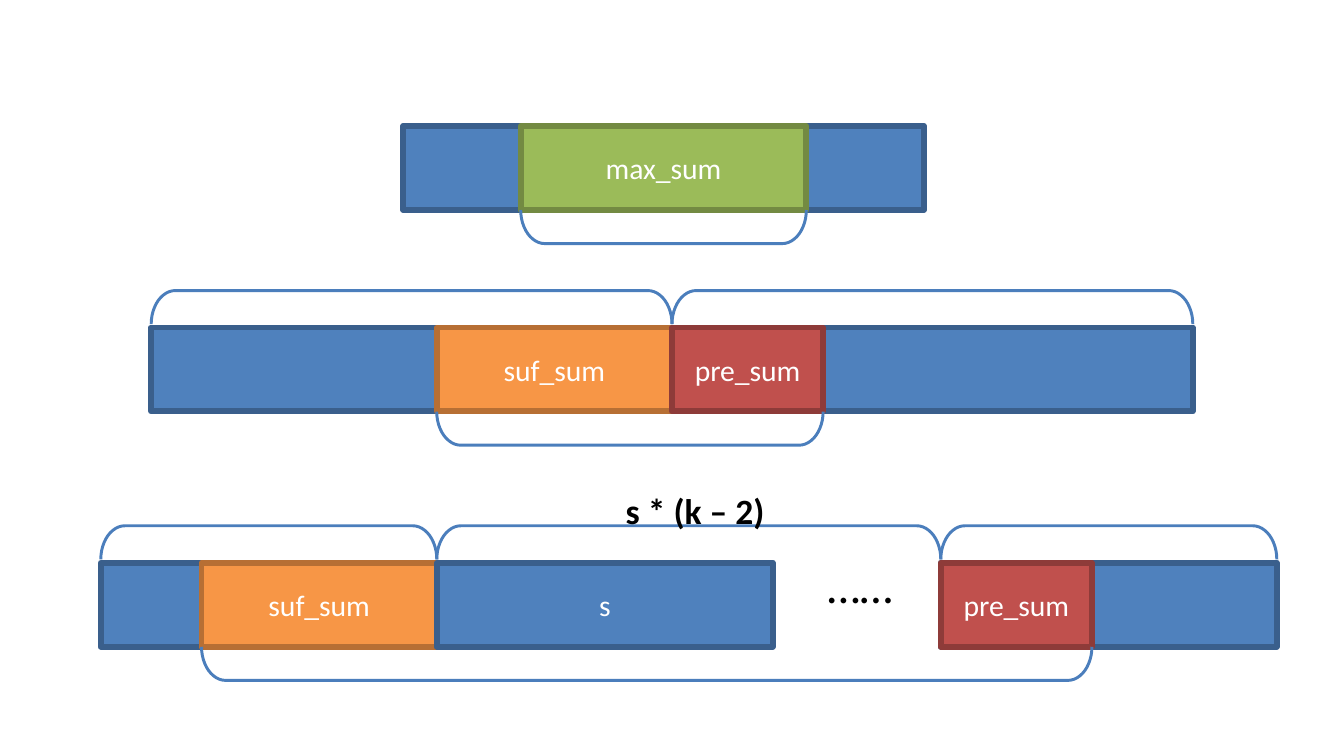
from dataclasses import dataclass
from enum import Enum
from typing import Optional

from pptx import Presentation
from pptx.dml.color import RGBColor
from pptx.enum.shapes import MSO_SHAPE
from pptx.enum.text import MSO_ANCHOR, PP_ALIGN
from pptx.util import Cm, Pt


@dataclass(frozen=True)
class Tone:
    fill: str
    line: str


@dataclass(frozen=True)
class Theme:
    font: str = "Calibri"
    bar_text: str = "FFFFFF"
    text: str = "000000"
    bracket: str = "4B7EBC"
    bar_size: float = 10
    formula_size: float = 12
    dots_size: float = 16
    bar_line: float = 2
    bracket_line: float = 1
    array: Tone = Tone("4F81BD", "3A5F8C")
    suffix: Tone = Tone("F79646", "B76F34")
    prefix: Tone = Tone("C0504D", "8E3B39")
    best: Tone = Tone("9BBB59", "738A42")


class Side(Enum):
    ABOVE = 90
    BELOW = 270


@dataclass(frozen=True)
class Bar:
    row: float
    start: float
    span: float
    tone: Tone
    label: str = ""


@dataclass(frozen=True)
class Bracket:
    row: float
    start: float
    span: float
    side: Side


@dataclass(frozen=True)
class Note:
    row: float
    start: float
    span: float
    rows: float
    text: str
    size: float
    bold: Optional[bool] = None


WIDTH, HEIGHT = Cm(16), Cm(9)
COLUMN, ROW = WIDTH / 80, HEIGHT / 45
BAR_ROWS, BRACKET_ROWS, BRACKET_GAP = 5, 2, 0.2
BRACKET_CURVE = 0.72
ONE, TWO, MANY = 7.5, 19.5, 33.5
ARRAY, HALF, SUFFIX, PREFIX, BEST = 20, 31, 14, 9, 17
THEME = Theme()

BARS = [
    Bar(MANY, 56, ARRAY, THEME.array),
    Bar(ONE, 24, HALF, THEME.array),
    Bar(TWO, 9, HALF, THEME.array),
    Bar(TWO, 40, HALF, THEME.array),
    Bar(TWO, 26, SUFFIX, THEME.suffix, "suf_sum"),
    Bar(TWO, 40, PREFIX, THEME.prefix, "pre_sum"),
    Bar(ONE, 31, BEST, THEME.best, "max_sum"),
    Bar(MANY, 6, ARRAY, THEME.array),
    Bar(MANY, 12, SUFFIX, THEME.suffix, "suf_sum"),
    Bar(MANY, 56, PREFIX, THEME.prefix, "pre_sum"),
    Bar(MANY, 26, ARRAY, THEME.array, "s"),
]
BRACKETS = [
    Bracket(TWO, 9, HALF, Side.ABOVE),
    Bracket(TWO, 40, HALF, Side.ABOVE),
    Bracket(MANY, 6, ARRAY, Side.ABOVE),
    Bracket(MANY, 56, ARRAY, Side.ABOVE),
    Bracket(MANY, 26, 30, Side.ABOVE),
    Bracket(TWO, 26, SUFFIX + PREFIX, Side.BELOW),
    Bracket(MANY, 12, 53, Side.BELOW),
    Bracket(ONE, 31, BEST, Side.BELOW),
]
NOTES = [
    Note(28.5, 36, 12, 3.8, "s * (k – 2)", THEME.formula_size, True),
    Note(32.5, 48, 7, 4.7, "……", THEME.dots_size),
]


def write(shape, text: str, size: float, color: str, bold: Optional[bool] = None) -> None:
    run = shape.text_frame.paragraphs[0].add_run()
    run.text = text
    run.font.name = THEME.font
    run.font.size = Pt(size)
    run.font.bold = bold
    run.font.color.rgb = RGBColor.from_string(color)


def outline(shape, color: str, width: float) -> None:
    shape.shadow.inherit = False
    shape.line.color.rgb = RGBColor.from_string(color)
    shape.line.width = Pt(width)


def draw_bar(slide, bar: Bar) -> None:
    shape = slide.shapes.add_shape(
        MSO_SHAPE.RECTANGLE, round(bar.start * COLUMN), round(bar.row * ROW),
        round(bar.span * COLUMN), round(BAR_ROWS * ROW))
    outline(shape, bar.tone.line, THEME.bar_line)
    shape.fill.solid()
    shape.fill.fore_color.rgb = RGBColor.from_string(bar.tone.fill)
    if bar.label:
        frame = shape.text_frame
        frame.margin_left = frame.margin_right = 0
        frame.vertical_anchor = MSO_ANCHOR.MIDDLE
        frame.paragraphs[0].alignment = PP_ALIGN.CENTER
        write(shape, bar.label, THEME.bar_size, THEME.bar_text)


def draw_bracket(slide, bracket: Bracket) -> None:
    depth, length = BRACKET_ROWS * ROW, bracket.span * COLUMN
    offset = -BRACKET_ROWS - BRACKET_GAP if bracket.side is Side.ABOVE else BAR_ROWS
    center_x = bracket.start * COLUMN + length / 2
    center_y = (bracket.row + offset) * ROW + depth / 2
    shape = slide.shapes.add_shape(
        MSO_SHAPE.LEFT_BRACKET, round(center_x - depth / 2),
        round(center_y - length / 2), round(depth), round(length))
    shape.rotation = bracket.side.value
    shape.adjustments[0] = BRACKET_CURVE
    outline(shape, THEME.bracket, THEME.bracket_line)
    shape.fill.background()


def draw_note(slide, note: Note) -> None:
    box = slide.shapes.add_textbox(
        round(note.start * COLUMN), round(note.row * ROW),
        round(note.span * COLUMN), round(note.rows * ROW))
    box.text_frame.word_wrap = True
    write(box, note.text, note.size, THEME.text, note.bold)


def main() -> None:
    deck = Presentation()
    deck.slide_width, deck.slide_height = WIDTH, HEIGHT
    slide = deck.slides.add_slide(deck.slide_layouts.get_by_name("Blank"))
    for bar in BARS:
        draw_bar(slide, bar)
    for bracket in BRACKETS:
        draw_bracket(slide, bracket)
    for note in NOTES:
        draw_note(slide, note)
    deck.save("out.pptx")


main()
